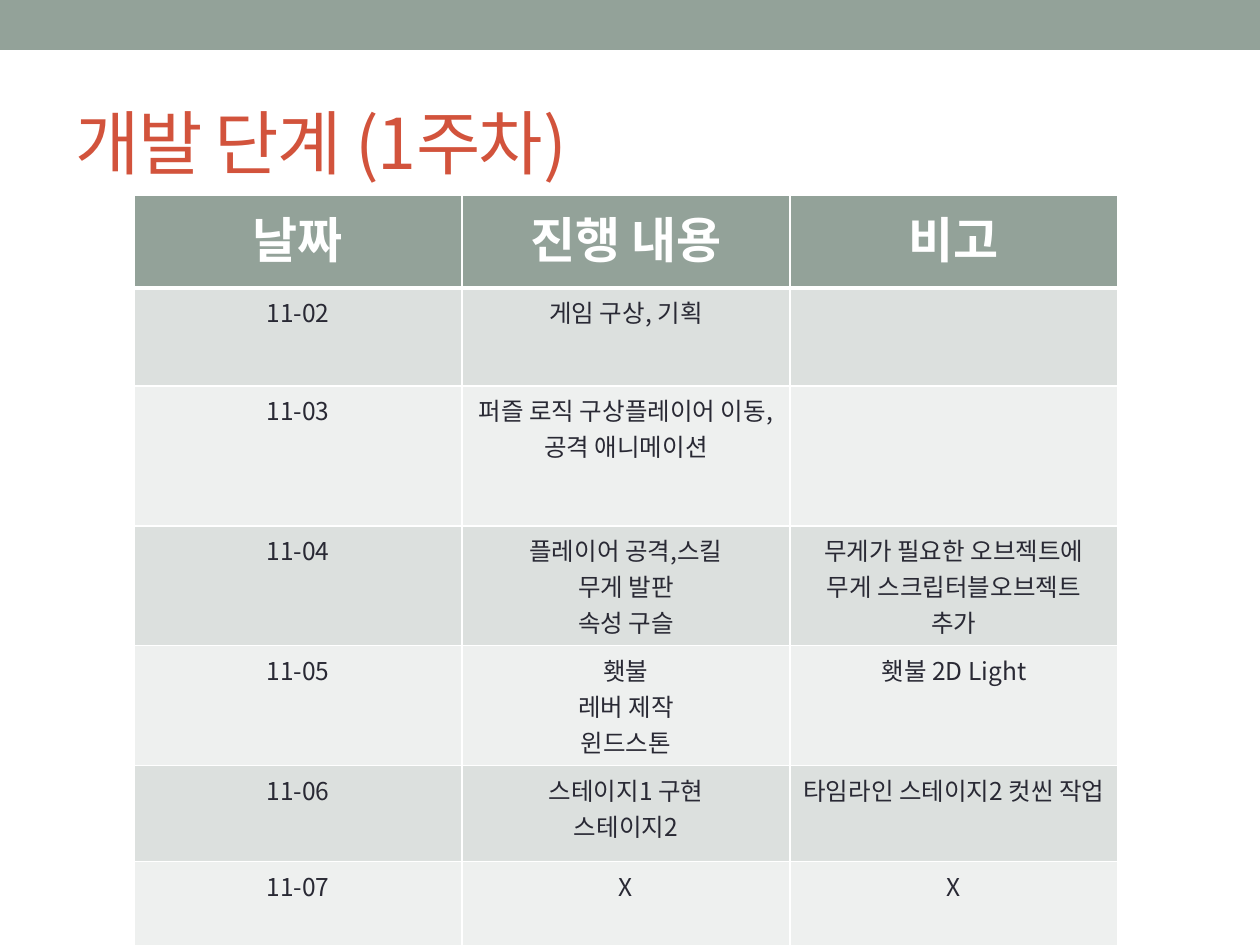
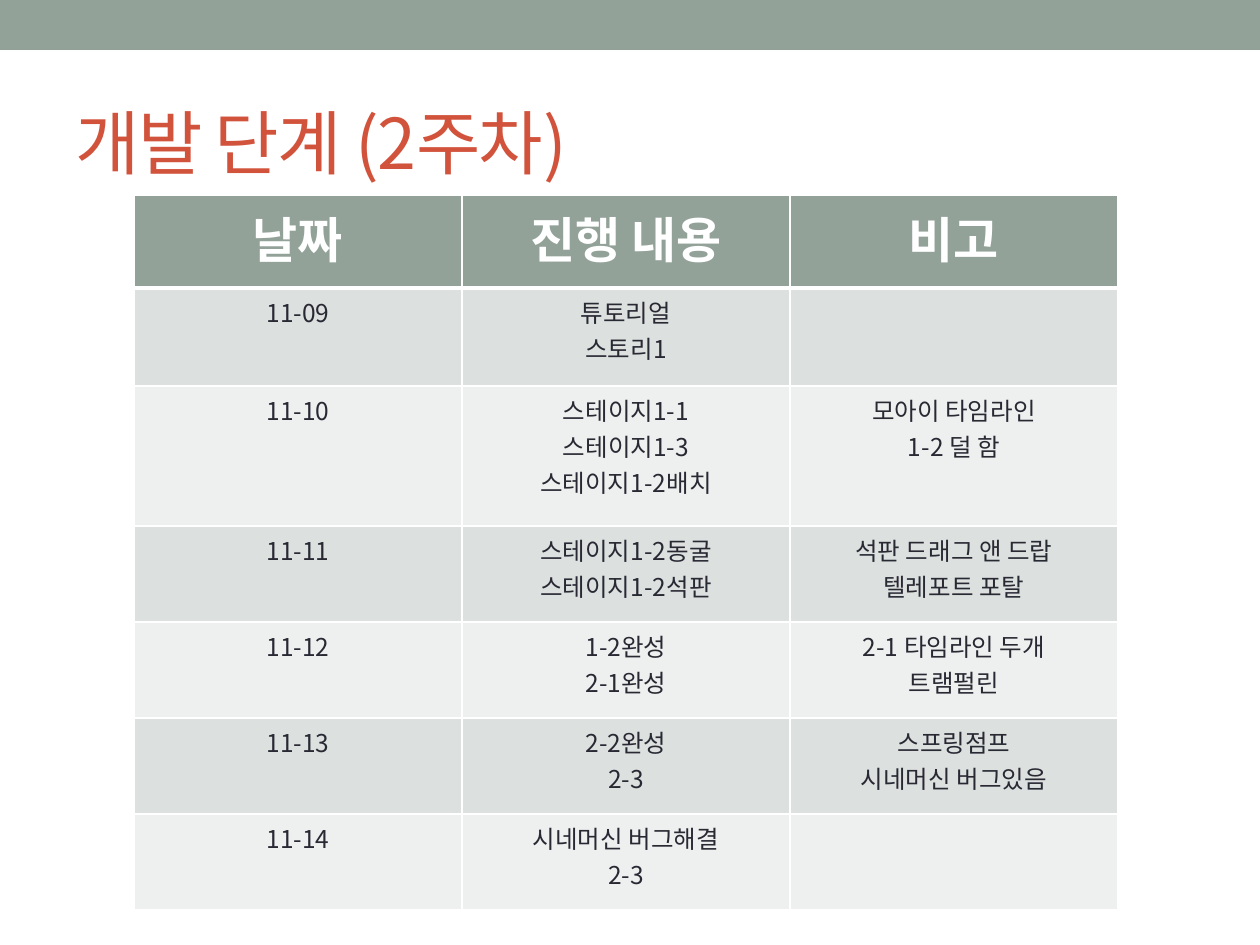
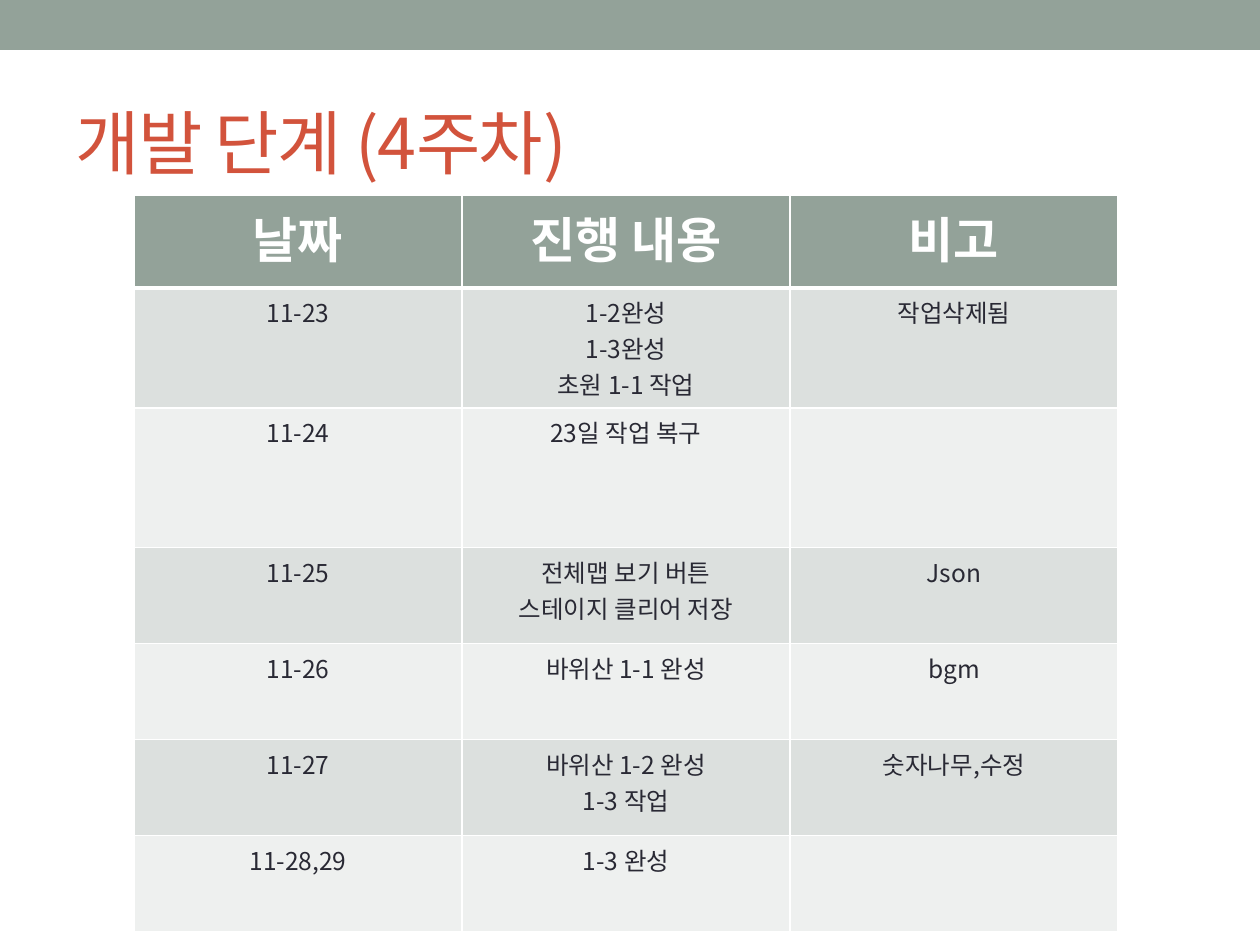
"""Builds three weekly development schedule slides."""
from lxml import etree
from pptx import Presentation
from pptx import util as u
from pptx.dml.color import RGBColor
from pptx.enum import shapes, text
from pptx.oxml import ns

SCALE = 914400 / 126
FONT = "Noto Sans CJK KR"
SAGE, RUST, INK, WHITE = "93A299", "D2533C", "292934", "FFFFFF"
BANDS = ("DCE0DE", "EEF0EF")
HEADER = ("날짜", "진행 내용", "비고")
ROW_HEIGHTS = (93, 98, 140, 96, 96, 96, 96)
COLUMN_WIDTH = 328


def px(length):
    return u.Emu(round(length * SCALE))


def paint(fill, color):
    fill.solid()
    fill.fore_color.rgb = RGBColor.from_string(color)


def write(frame, content, size, color, bold=False, align=text.PP_ALIGN.LEFT, spacing=0):
    for index, line in enumerate(content.split("\n")):
        paragraph = frame.add_paragraph() if index else frame.paragraphs[0]
        paragraph.alignment = align
        if not line:
            continue
        run = paragraph.add_run()
        run.text = line
        run.font.size = u.Pt(size)
        run.font.bold = bold
        run.font.name = FONT
        paint(run.font.fill, color)
        properties = run.font._element
        etree.SubElement(properties, ns.qn("a:ea"), typeface=FONT)
        if spacing:
            properties.set("spc", str(spacing * 100))


def border(cell, side, width):
    line = etree.SubElement(cell._tc.get_or_add_tcPr(), ns.qn(f"a:ln{side}"), w=str(u.Pt(width)))
    fill = etree.SubElement(line, ns.qn("a:solidFill"))
    etree.SubElement(fill, ns.qn("a:srgbClr"), val=WHITE)


class Deck:
    def __init__(self):
        self.presentation = Presentation()
        self.presentation.slide_width = px(1260)
        self.presentation.slide_height = px(945)

    def new_slide(self, title):
        self.slide = self.presentation.slides.add_slide(self.presentation.slide_layouts[5])
        self.band()
        self.title(title)

    def band(self):
        shape = self.slide.shapes.add_shape(
            shapes.MSO_SHAPE.RECTANGLE, 0, 0, px(1260), px(50))
        shape.shadow.inherit = False
        paint(shape.fill, SAGE)
        shape.line.fill.background()

    def title(self, content):
        shape = self.slide.shapes.title
        shape.left, shape.top, shape.width, shape.height = map(px, (63, 73, 1134, 136))
        frame = shape.text_frame
        frame.word_wrap = True
        frame.auto_size = text.MSO_AUTO_SIZE.NONE
        frame.vertical_anchor = text.MSO_ANCHOR.MIDDLE
        write(frame, content, size=40, color=RUST, spacing=-1)

    def table(self, entries):
        rows = [HEADER, *entries]
        table = self.slide.shapes.add_table(
            len(rows), len(HEADER), px(134), px(195),
            px(COLUMN_WIDTH * len(HEADER)), px(sum(ROW_HEIGHTS))).table
        for column in table.columns:
            column.width = px(COLUMN_WIDTH)
        for index, (row, height) in enumerate(zip(rows, ROW_HEIGHTS)):
            table.rows[index].height = px(height)
            for column, content in enumerate(row):
                self.cell(table.cell(index, column), content, index)

    def cell(self, cell, content, row):
        is_header = row == 0
        border(cell, "L", 1)
        border(cell, "R", 1)
        border(cell, "T", 3 if row == 1 else 1)
        border(cell, "B", 3 if is_header else 1)
        paint(cell.fill, SAGE if is_header else BANDS[(row - 1) % 2])
        write(cell.text_frame, content, size=28 if is_header else 14,
              color=WHITE if is_header else INK, bold=is_header,
              align=text.PP_ALIGN.CENTER)


WEEKS = {
    1: [
        ("11-02", "게임 구상, 기획", ""),
        ("11-03", "퍼즐 로직 구상플레이어 이동,\n공격 애니메이션", ""),
        ("11-04", "플레이어 공격,스킬\n무게 발판\n속성 구슬",
         "무게가 필요한 오브젝트에\n무게 스크립터블오브젝트\n추가"),
        ("11-05", "횃불\n레버 제작\n윈드스톤", "횃불 2D Light"),
        ("11-06", "스테이지1 구현\n스테이지2", "타임라인 스테이지2 컷씬 작업"),
        ("11-07", "X", "X"),
    ],
    2: [
        ("11-09", "튜토리얼\n스토리1", ""),
        ("11-10", "스테이지1-1\n스테이지1-3\n스테이지1-2배치", "모아이 타임라인\n1-2 덜 함"),
        ("11-11", "스테이지1-2동굴\n스테이지1-2석판", "석판 드래그 앤 드랍\n텔레포트 포탈"),
        ("11-12", "1-2완성\n2-1완성", "2-1 타임라인 두개\n트램펄린"),
        ("11-13", "2-2완성\n2-3", "스프링점프\n시네머신 버그있음"),
        ("11-14", "시네머신 버그해결\n2-3", ""),
    ],
    4: [
        ("11-23", "1-2완성\n1-3완성\n초원 1-1 작업", "작업삭제됨"),
        ("11-24", "23일 작업 복구", ""),
        ("11-25", "전체맵 보기 버튼\n스테이지 클리어 저장", "Json"),
        ("11-26", "바위산 1-1 완성", "bgm"),
        ("11-27", "바위산 1-2 완성\n1-3 작업", "숫자나무,수정"),
        ("11-28,29", "1-3 완성", ""),
    ],
}

deck = Deck()
for week, entries in WEEKS.items():
    deck.new_slide(f"개발 단계 ({week}주차)")
    deck.table(entries)
deck.presentation.save("out.pptx")
